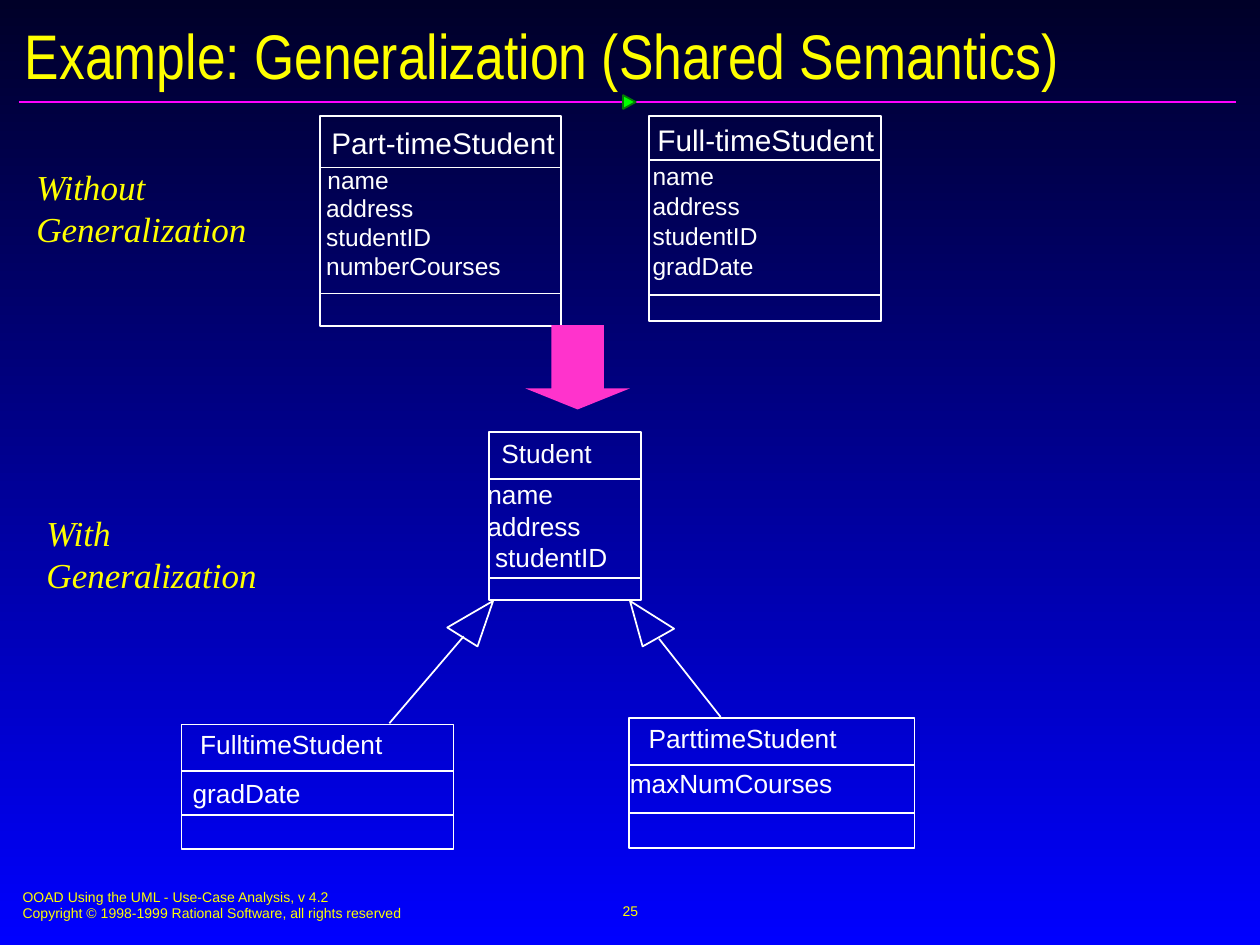
from lxml import etree
from pptx import Presentation
from pptx.dml.color import RGBColor
from pptx.enum.shapes import MSO_CONNECTOR, MSO_SHAPE
from pptx.enum.text import MSO_ANCHOR, PP_ALIGN
from pptx.oxml.ns import qn
from pptx.util import Pt

STRAIGHT = MSO_CONNECTOR.STRAIGHT
RECTANGLE, TRIANGLE, DOWN_ARROW = (
    MSO_SHAPE.RECTANGLE, MSO_SHAPE.ISOSCELES_TRIANGLE, MSO_SHAPE.DOWN_ARROW)
TOP, MIDDLE = MSO_ANCHOR.TOP, MSO_ANCHOR.MIDDLE
LEFT, CENTER = PP_ALIGN.LEFT, PP_ALIGN.CENTER

COLORS = {
    "sky_top": "000028", "sky_bottom": "0000FF", "heading": "FFFF00",
    "diagram": "FFFFFF", "rule": "FF01FF", "marker": "00FF00",
    "marker_edge": "037C03", "transition": "FF33CC",
}

# Content (all lengths in points)
TITLE = "Example: Generalization (Shared Semantics)"
FOOTER = ["OOAD Using the UML - Use-Case Analysis, v 4.2",
          "Copyright © 1998-1999 Rational Software, all rights reserved"]
PAGE = "25"
SECTIONS = [("Without Generalization", 12.2, 90), ("With Generalization", 18, 288)]

# box: left, top, width, height; name: text, left, top, width
# attributes: text, left, width, stacked from "first" at the given "step"
CLASSES = [
    {"box": (279.4, 247, 87.1, 95.8), "dividers": (273.6, 330.5),
     "name": ("Student", 279.4, 246.2, 66.2), "sizes": (15, 15),
     "first": 270, "step": 18,
     "attributes": [("name", 271.4, 51.8), ("address", 271.4, 67.7),
                    ("studentID", 275.8, 78.5)]},
    {"box": (103.7, 414, 155.5, 71.3), "dividers": (440.6, 465.8),
     "name": ("FulltimeStudent", 107.3, 412.6, 118.8), "sizes": (15, 15),
     "first": 440.6, "step": 18,
     "attributes": [("gradDate", 103, 76.3)]},
    {"box": (359.3, 410.4, 163.4, 74.2), "dividers": (437, 464.4),
     "name": ("ParttimeStudent", 363.6, 409, 122.4), "sizes": (15, 15),
     "first": 434.9, "step": 18,
     "attributes": [("maxNumCourses", 352.8, 130.3)]},
    {"box": (182.9, 66.2, 137.5, 120.2), "dividers": (95.8, 167.8),
     "name": ("Part-timeStudent", 182.2, 67.7, 142.6), "sizes": (17, 14),
     "first": 90.6, "step": 16.4,
     "attributes": [("name", 180, 49.7), ("address", 179.3, 64.8),
                    ("studentID", 179.3, 74.9), ("numberCourses", 179.3, 114.5)]},
    {"box": (370.8, 66.2, 132.5, 117.4), "dividers": (91.4, 168.5),
     "name": ("Full-timeStudent", 368.6, 66.2, 139), "sizes": (17, 14),
     "first": 88.7, "step": 17,
     "attributes": [("name", 365.8, 49.7), ("address", 365.8, 64.8),
                    ("studentID", 365.8, 74.9), ("gradDate", 365.8, 72)]},
]

# Each generalization: line start, line end, corners of the hollow arrowhead
GENERALIZATIONS = [
    ((222.5, 413.3), (265, 363.6), [(281.8, 343.4), (272.9, 369.4), (255.6, 358.6)]),
    ((411.8, 409.7), (376.6, 365), [(360, 343.4), (385.2, 359.3), (367.2, 369.4)]),
]

prs = Presentation()
prs.slide_width, prs.slide_height = Pt(720), Pt(540)
slide = prs.slides.add_slide(prs.slide_layouts[6])
shapes = slide.shapes


def rgb(name):
    return RGBColor.from_string(COLORS[name])


def paint(shape, fill=None, line=None):
    shape.shadow.inherit = False
    if fill:
        shape.fill.solid()
        shape.fill.fore_color.rgb = rgb(fill)
    else:
        shape.fill.background()
    if line:
        shape.line.color.rgb = rgb(line)
        shape.line.width = Pt(1)
    else:
        shape.line.fill.background()


def add_shape(kind, box, fill=None, line=None):
    shape = shapes.add_shape(kind, *map(Pt, box))
    paint(shape, fill, line)
    return shape


def add_line(start, end, color="diagram"):
    line = shapes.add_connector(STRAIGHT, *map(Pt, (*start, *end)))
    line.line.color.rgb = rgb(color)
    line.line.width = Pt(1)
    etree.SubElement(line._element.spPr, qn("a:effectLst"))


def add_text(text, box, size, color="heading", font="Arial", italic=False,
             wrap=True, anchor=TOP, align=LEFT, inset=7.2):
    frame = shapes.add_textbox(*map(Pt, box)).text_frame
    frame.word_wrap = wrap
    frame.vertical_anchor = anchor
    frame.margin_left = frame.margin_right = Pt(inset)
    frame.margin_top = frame.margin_bottom = Pt(inset / 2)
    frame.text = text
    for paragraph in frame.paragraphs:
        paragraph.alignment = align
        for run in paragraph.runs:
            run.font.size = Pt(size)
            run.font.name = font
            run.font.italic = italic
            run.font.color.rgb = rgb(color)


def add_label(text, left, top, width, size):
    add_text(text, (left, top, width, 1.2 * size + 7.2), size, "diagram", wrap=False)


def add_class(uml):
    left, _, width, _ = uml["box"]
    name_size, attribute_size = uml["sizes"]
    add_shape(RECTANGLE, uml["box"], line="diagram")
    for y in uml["dividers"]:
        add_line((left, y), (left + width, y))
    add_label(*uml["name"], name_size)
    for row, (text, x, text_width) in enumerate(uml["attributes"]):
        add_label(text, x, uml["first"] + row * uml["step"], text_width, attribute_size)


# Background, top to bottom
background = slide.background.fill
background.gradient()
background.gradient_angle = 270
for stop, color in zip(background.gradient_stops, ("sky_top", "sky_bottom")):
    stop.color.rgb = rgb(color)

# Rule with its marker, footer and page number
add_line((10.8, 58.3), (706.3, 58.3), "rule")
add_shape(TRIANGLE, (355.7, 54.7, 7.9, 7.2), "marker", "marker_edge").rotation = 90
add_text("\n".join(FOOTER), (5.8, 504, 367.2, 26.6), 8)
add_text(PAGE, (246.2, 502.6, 228.2, 36), 8, wrap=False, anchor=MIDDLE, align=CENTER)

# Class diagram
for uml_class in CLASSES:
    add_class(uml_class)
for start, end, corners in GENERALIZATIONS:
    add_line(start, end)
    tip, *others = [(Pt(x), Pt(y)) for x, y in corners]
    arrowhead = shapes.build_freeform(*tip)
    arrowhead.add_line_segments(others, close=True)
    paint(arrowhead.convert_to_shape(), line="diagram")

# Transition arrow: head depth is a quarter of the width
transition = add_shape(DOWN_ARROW, (300.2, 185.8, 59.8, 48.2), "transition")
transition.adjustments[0], transition.adjustments[1] = 0.5, 0.25

# Section labels and title
for section, left, top in SECTIONS:
    add_text(section, (left, top, 144, 56.9), 20, font="Times New Roman",
             italic=True, inset=8.6)
add_text(TITLE, (7.2, 10.1, 708.5, 41.8), 36, font="Arial Narrow", anchor=MIDDLE)

prs.save("out.pptx")
